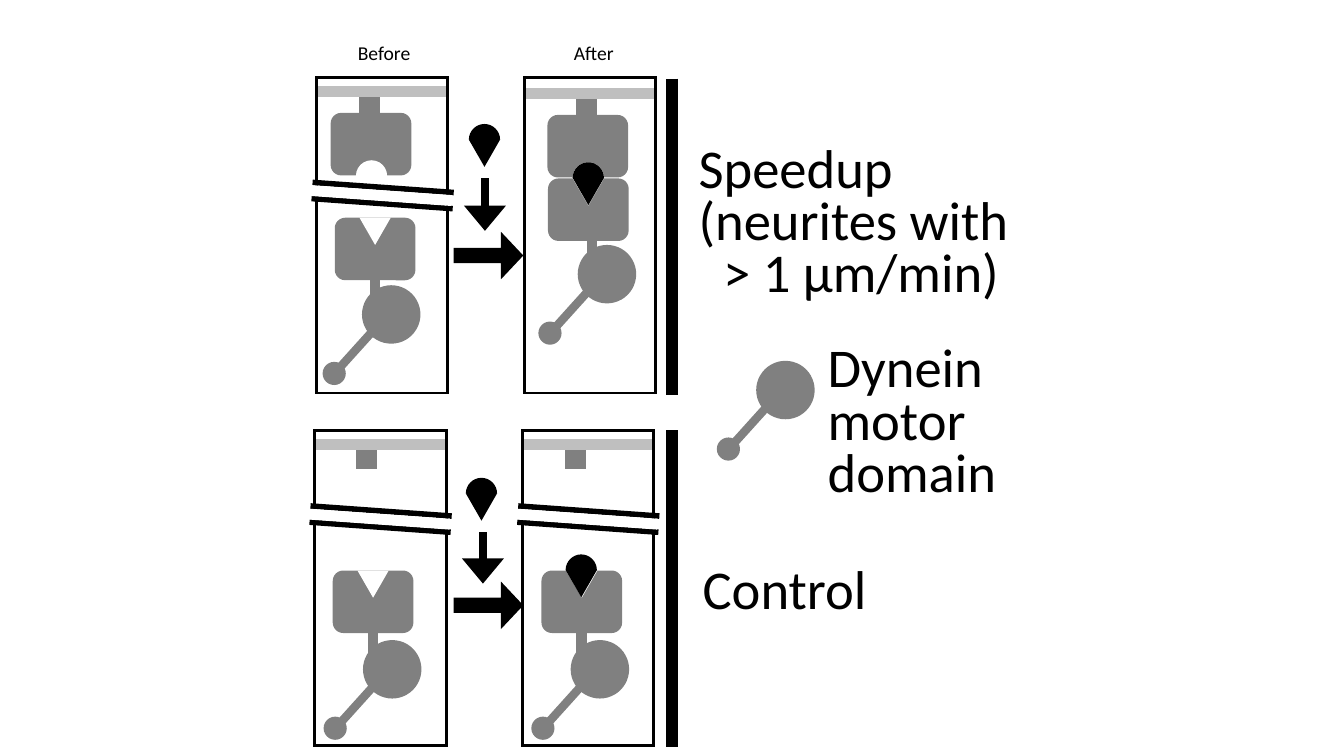
import pptx
import pptx.dml.color
import pptx.enum.shapes
import pptx.enum.text
import pptx.oxml.ns
import pptx.shapes.autoshape
import pptx.shapes.shapetree
import pptx.util
from dataclasses import dataclass
from lxml import etree
from typing import Callable

WIDTH, HEIGHT = pptx.util.Inches(13.33), pptx.util.Inches(7.5)
COLUMN, ROW = WIDTH / 133.3, HEIGHT / 75
COLORS = {"black": "000000", "gray": "808080", "membrane": "BFBFBF", "white": "FFFFFF"}
KIND = pptx.enum.shapes.MSO_SHAPE
ALIGN = pptx.enum.text.PP_ALIGN
Shapes = pptx.shapes.shapetree.GroupShapes
Point = tuple[float, float]


@dataclass
class Panel:
    column: float
    row: float
    stem_column: float
    membrane_row: float


@dataclass
class Motif:
    draw: Callable[[Shapes, float, float], None]
    column: float
    row: float


@dataclass
class Stroke:
    start: Point
    end: Point
    color: str
    points: float
    arrow: bool = False


@dataclass
class Label:
    lines: list[str]
    column: float
    row: float
    columns: float
    rows: float
    size: float
    align: pptx.enum.text.PP_ALIGN = ALIGN.LEFT
    spacing: float = 1.0
    last_indent: float = 0


def across(columns: float) -> int:
    return round(columns * COLUMN)


def down(rows: float) -> int:
    return round(rows * ROW)


def rgb(name: str) -> pptx.dml.color.RGBColor:
    return pptx.dml.color.RGBColor.from_string(COLORS[name])


def paint(shape: pptx.shapes.autoshape.Shape, color: str) -> None:
    shape.shadow.inherit = False
    shape.fill.solid()
    shape.fill.fore_color.rgb = rgb(color)
    shape.line.fill.background()


def add_solid(shapes: Shapes, kind: KIND, column: float, row: float, columns: float, rows: float,
              color: str, rotation: float = 0) -> pptx.shapes.autoshape.Shape:
    shape = shapes.add_shape(kind, across(column), down(row), across(columns), down(rows))
    paint(shape, color)
    shape.rotation = rotation
    return shape


def add_stroke(shapes: Shapes, stroke: Stroke) -> None:
    connector = shapes.add_connector(
        pptx.enum.shapes.MSO_CONNECTOR.STRAIGHT,
        across(stroke.start[0]), down(stroke.start[1]), across(stroke.end[0]), down(stroke.end[1]))
    connector.line.color.rgb = rgb(stroke.color)
    connector.line.width = pptx.util.Pt(stroke.points)
    if stroke.arrow:
        line = connector.line._get_or_add_ln()
        etree.SubElement(line, pptx.oxml.ns.qn("a:tailEnd"), type="triangle", w="lg")
    etree.SubElement(connector._element.spPr, pptx.oxml.ns.qn("a:effectLst"))


def add_panel(shapes: Shapes, panel: Panel) -> None:
    top = panel.membrane_row
    add_stroke(shapes, Stroke((panel.stem_column, top), (panel.stem_column, top + 2.4), "gray", 15))
    add_stroke(shapes, Stroke((panel.column, top), (panel.column + 13, top), "membrane", 7.5))
    frame = add_solid(shapes, KIND.RECTANGLE, panel.column, panel.row, 13.05, 31.3, "white")
    frame.fill.background()
    frame.line.color.rgb = rgb("black")
    frame.line.width = pptx.util.Pt(2)
    etree.SubElement(frame.line._get_or_add_ln(), pptx.oxml.ns.qn("a:miter"), lim="800000")


def add_bait(shapes: Shapes, column: float, row: float) -> None:
    add_solid(shapes, KIND.ROUNDED_RECTANGLE, column, row, 8, 6.2, "gray")
    add_solid(shapes, KIND.OVAL, column + 2.5, row + 4.7, 3.1, 3.1, "white")


def add_receptor(shapes: Shapes, column: float, row: float) -> None:
    add_solid(shapes, KIND.ROUNDED_RECTANGLE, column, row, 8, 6.2, "gray", 180)
    add_solid(shapes, KIND.ISOSCELES_TRIANGLE, column + 2.45, row, 3.1, 2.7, "white", 180)


def add_break(shapes: Shapes, column: float, row: float) -> None:
    for shift, drop, color, points in ((0.1, 1.6, "black", 4), (0.2, 0, "black", 4), (0, 0.8, "white", 7.75)):
        start = (column + shift, row + drop)
        add_stroke(shapes, Stroke(start, (start[0] + 14, start[1] + 1), color, points))


def add_dynein(shapes: Shapes, column: float, row: float) -> None:
    add_solid(shapes, KIND.OVAL, column, row, 5.8, 5.8, "gray")
    add_stroke(shapes, Stroke((column + 2.1, row + 3.4), (column - 2.5, row + 8.5), "gray", 6))
    add_solid(shapes, KIND.OVAL, column - 3.9, row + 7.6, 2.3, 2.3, "gray")


def round_segments(shape: pptx.shapes.autoshape.Shape) -> None:
    segments = list(shape._element.iter(pptx.oxml.ns.qn("a:lnTo")))
    for first in range(0, len(segments) - 2, 3):
        curve = etree.Element(pptx.oxml.ns.qn("a:cubicBezTo"))
        segments[first].addprevious(curve)
        for segment in segments[first:first + 3]:
            curve.append(segment[0])
            segment.getparent().remove(segment)


def add_ligand(shapes: Shapes, column: float, row: float) -> None:
    add_solid(shapes, KIND.ISOSCELES_TRIANGLE, column, row + 1.55, 3.1, 2.7, "black", 180)
    controls = [(0, 0.7), (0.7, 0), (1.55, 0), (2.4, 0), (3.1, 0.7), (3.1, 1.55), (2.8, 1.75), (0.3, 1.75), (0, 1.55)]
    builder = shapes.build_freeform(across(column), down(row + 1.55))
    builder.add_line_segments([(across(column + x), down(row + y)) for x, y in controls])
    cap = builder.convert_to_shape()
    round_segments(cap)
    paint(cap, "black")


def add_label(shapes: Shapes, label: Label) -> None:
    box = shapes.add_textbox(across(label.column), down(label.row), across(label.columns), down(label.rows))
    frame = box.text_frame
    frame.word_wrap = True
    for index, line in enumerate(label.lines):
        paragraph = frame.paragraphs[0] if index == 0 else frame.add_paragraph()
        paragraph.alignment = label.align
        paragraph.line_spacing = label.spacing
        run = paragraph.add_run()
        run.text = line
        run.font.name = "Calibri"
        run.font.size = pptx.util.Pt(label.size)
        run.font.color.rgb = rgb("black")
    if label.last_indent:
        properties = paragraph._p.get_or_add_pPr()
        properties.set("marL", str(across(label.last_indent)))
        properties.set("indent", "0")


PANELS = [
    Panel(31.2, 42.7, 36.4, 44.1), Panel(31.35, 7.7, 36.6, 9.1),
    Panel(52, 7.7, 58.2, 9.3), Panel(51.8, 42.7, 57.1, 44.1),
]
MOTIFS = [
    Motif(add_bait, 32.8, 11.2), Motif(add_bait, 54.3, 11.4),
    Motif(add_receptor, 54.35, 17.7), Motif(add_receptor, 33.2, 21.6),
    Motif(add_receptor, 33, 56.6), Motif(add_receptor, 53.7, 56.6),
    Motif(add_break, 30.8, 18.1), Motif(add_break, 30.6, 50.2), Motif(add_break, 51.2, 50.2),
    Motif(add_dynein, 35.9, 28.3), Motif(add_dynein, 57.3, 24.3), Motif(add_dynein, 36, 63.5),
    Motif(add_dynein, 56.6, 63.5), Motif(add_dynein, 75, 35.8),
    Motif(add_ligand, 56.8, 16.1), Motif(add_ligand, 56.1, 55),
    Motif(add_ligand, 46.5, 12.3), Motif(add_ligand, 46.2, 47.4),
]
STALKS = [(37.2, 27.7), (58.7, 23.1), (37, 62.7), (57.7, 62.7)]
STROKES = [Stroke((x, y), (x, y + 2.8), "gray", 7.5) for x, y in STALKS] + [
    Stroke((66.65, 7.8), (66.65, 39.2), "black", 8),
    Stroke((66.65, 42.7), (66.65, 74.1), "black", 8),
    Stroke((48.1, 17.7), (48.1, 22.9), "black", 6, True),
    Stroke((47.9, 52.8), (47.9, 57.9), "black", 6, True),
]
BLOCK_ARROW_ROWS = [21.9, 56.6]
LABELS = [
    Label(["Before"], 33.1, 3.6, 10, 3.4, 14, ALIGN.CENTER),
    Label(["After"], 53.9, 3.6, 10, 3.4, 14, ALIGN.CENTER),
    Label(["Speedup", "(neurites with", "> 1 µm/min)"], 68.3, 14, 33.1, 16.9, 39, spacing=0.8, last_indent=2.45),
    Label(["Dynein", "motor", "domain"], 81.1, 33.8, 18.9, 16.9, 39, spacing=0.8),
    Label(["Control"], 68.7, 54.6, 18.5, 7.6, 39),
]

presentation = pptx.Presentation()
presentation.slide_width, presentation.slide_height = WIDTH, HEIGHT
slide = presentation.slides.add_slide(presentation.slide_layouts[6])
for panel in PANELS:
    add_panel(slide.shapes, panel)
for motif in MOTIFS:
    motif.draw(slide.shapes.add_group_shape().shapes, motif.column, motif.row)
for stroke in STROKES:
    add_stroke(slide.shapes, stroke)
for row in BLOCK_ARROW_ROWS:
    arrow = add_solid(slide.shapes, KIND.DOWN_ARROW, 46.1, row, 4.7, 6.9, "black", 270)
    arrow.adjustments[0], arrow.adjustments[1] = 0.32, 0.47
for label in LABELS:
    add_label(slide.shapes, label)
presentation.save("out.pptx")
